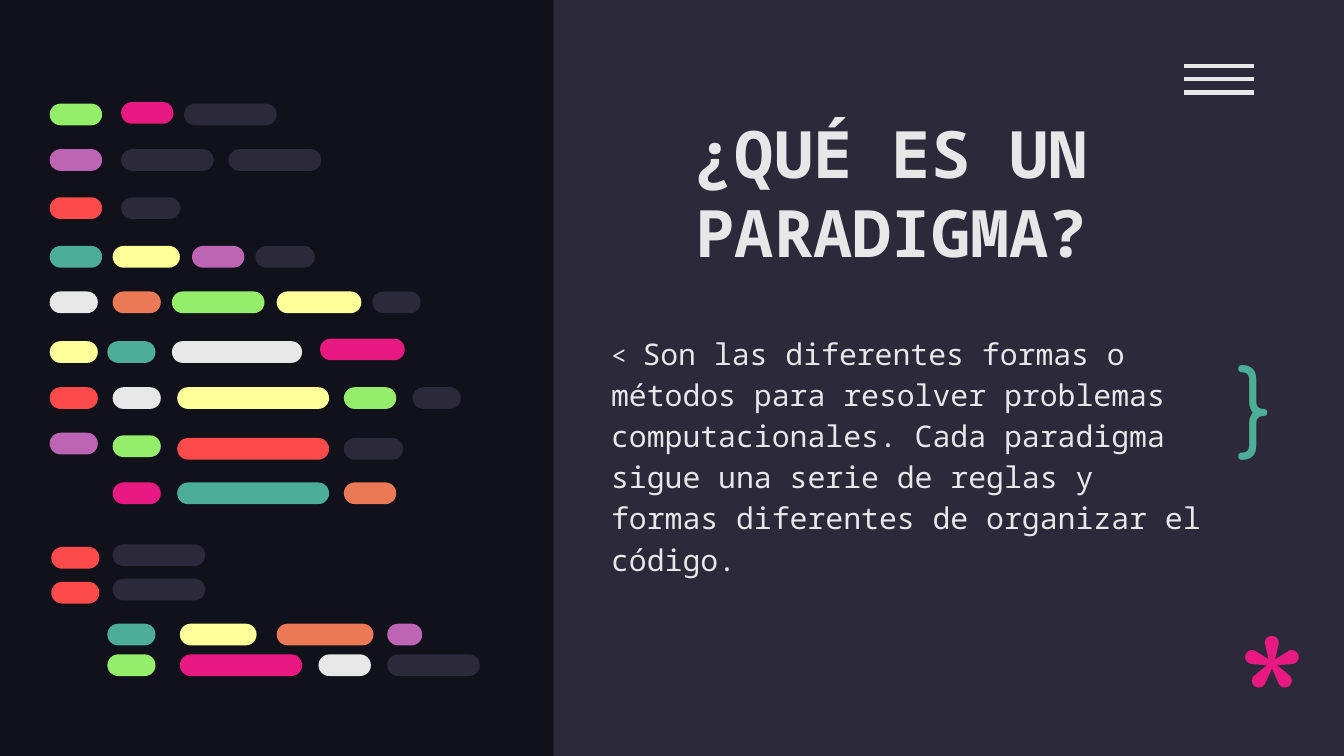
"""Build a slide that defines a programming paradigm beside a mock code panel."""
from dataclasses import dataclass

from lxml import etree
from pptx import Presentation
from pptx import util as u
from pptx.dml import color
from pptx.enum import shapes, text
from pptx.oxml import ns


@dataclass(frozen=True)
class Theme:
    night: str = "10111A"
    slate: str = "2C293A"
    white: str = "E7E7E7"
    lime: str = "94EE6B"
    pink: str = "E81A81"
    plum: str = "BD64B5"
    red: str = "FD4A4A"
    teal: str = "4CAE97"
    lemon: str = "FFFF99"
    coral: str = "EC7955"
    mono: str = "Noto Sans Mono"
    round: str = "Comfortaa"
    title: int = 35
    body: int = 16
    mark: int = 14
    brace: int = 50
    star: int = 96


T = Theme()
prs = Presentation()
prs.slide_width, prs.slide_height = u.Cm(25.4), u.Cm(14.29)
slide = prs.slides.add_slide(prs.slide_layouts[6])
slide.background.fill.solid()
slide.background.fill.fore_color.rgb = color.RGBColor.from_string(T.night)


def block(kind, left, top, width, height, hue):
    shape = slide.shapes.add_shape(kind, u.Cm(left), u.Cm(top), u.Cm(width), u.Cm(height))
    shape.shadow.inherit = False
    shape.fill.solid()
    shape.fill.fore_color.rgb = color.RGBColor.from_string(hue)
    shape.line.fill.background()
    return shape


def write(left, top, width, height, words, size, hue, face):
    box = slide.shapes.add_textbox(u.Cm(left), u.Cm(top), u.Cm(width), u.Cm(height))
    frame = box.text_frame
    frame.word_wrap = True
    frame.margin_left = frame.margin_right = u.Cm(0.25)
    frame.margin_top = frame.margin_bottom = u.Cm(0.25)
    frame.text = words
    for run in frame.paragraphs[0].runs:
        run.font.size = u.Pt(size)
        run.font.name = face
        run.font.color.rgb = color.RGBColor.from_string(hue)
    return box


block(shapes.MSO_SHAPE.RECTANGLE, 10.46, 0, 14.94, 14.29, T.slate)

for row in range(3):
    y = u.Cm(1.25 + row * 0.25)
    bar = slide.shapes.add_connector(
        shapes.MSO_CONNECTOR.STRAIGHT, u.Cm(22.38), y, u.Cm(23.7), y)
    bar.line.color.rgb = color.RGBColor.from_string(T.white)
    bar.line.width = u.Pt(2.25)
    etree.SubElement(bar._element.spPr, ns.qn("a:effectLst"))

title = write(12.9, 1.4, 8.84, 3.96, "¿QUÉ ES UN PARADIGMA?", T.title, T.white, T.mono)
title.text_frame.vertical_anchor = text.MSO_ANCHOR.BOTTOM
title.text_frame.paragraphs[0].runs[0].font.bold = True

body = write(11.3, 5.99, 11.68, 5.41, "< ", T.mark, T.white, T.mono)
body.fill.solid()
body.fill.fore_color.rgb = color.RGBColor.from_string(T.slate)
para = body.text_frame.paragraphs[0]
para.line_spacing = 1.15
run = para.add_run()
run.text = ("Son las diferentes formas o métodos para resolver problemas "
            "computacionales. Cada paradigma sigue una serie de reglas y "
            "formas diferentes de organizar el código.")
run.font.size = u.Pt(T.body)
run.font.name = T.mono
run.font.color.rgb = color.RGBColor.from_string(T.white)

write(23.14, 11.05, 1.45, 2.21, "*", T.star, T.pink, T.round)

code = {
    1.96: [(0.94, 0.99, T.lime), (3.48, 1.75, T.slate)],
    1.93: [(2.29, 0.99, T.pink)],
    2.82: [(0.94, 0.99, T.plum), (2.29, 1.75, T.slate), (4.32, 1.75, T.slate)],
    3.73: [(0.94, 0.99, T.red), (2.29, 1.12, T.slate)],
    4.65: [(0.94, 0.99, T.teal), (2.13, 1.27, T.lemon), (3.63, 0.99, T.plum),
           (4.83, 1.12, T.slate)],
    5.51: [(0.94, 0.91, T.white), (2.13, 0.91, T.coral), (3.25, 1.75, T.lime),
           (5.23, 1.6, T.lemon), (7.04, 0.91, T.slate)],
    6.45: [(0.94, 0.91, T.lemon), (2.03, 0.91, T.teal), (3.25, 2.46, T.white)],
    6.4: [(6.05, 1.6, T.pink)],
    7.32: [(0.94, 0.91, T.red), (2.13, 0.91, T.white), (3.35, 2.87, T.lemon),
           (6.5, 0.99, T.lime), (7.8, 0.91, T.slate)],
    8.18: [(0.94, 0.91, T.plum)],
    8.23: [(2.13, 0.91, T.lime)],
    8.28: [(3.35, 2.87, T.red), (6.5, 1.12, T.slate)],
    9.12: [(2.13, 0.91, T.pink), (3.35, 2.87, T.teal), (6.5, 0.99, T.coral)],
    10.34: [(0.97, 0.91, T.red)],
    10.29: [(2.13, 1.75, T.slate)],
    11: [(0.97, 0.91, T.red)],
    10.94: [(2.13, 1.75, T.slate)],
    11.79: [(2.03, 0.91, T.teal), (3.4, 1.45, T.lemon), (5.23, 1.83, T.coral),
            (7.32, 0.66, T.plum)],
    12.37: [(2.03, 0.91, T.lime), (3.4, 2.31, T.pink), (6.02, 0.99, T.white),
            (7.32, 1.75, T.slate)],
}
for top, pills in code.items():
    for left, width, hue in pills:
        pill = block(shapes.MSO_SHAPE.ROUNDED_RECTANGLE, left, top, width, 0.41, hue)
        pill.adjustments[0] = 0.5

write(23.14, 6.27, 1.45, 2.41, "}", T.brace, T.teal, T.round)

prs.save("out.pptx")
